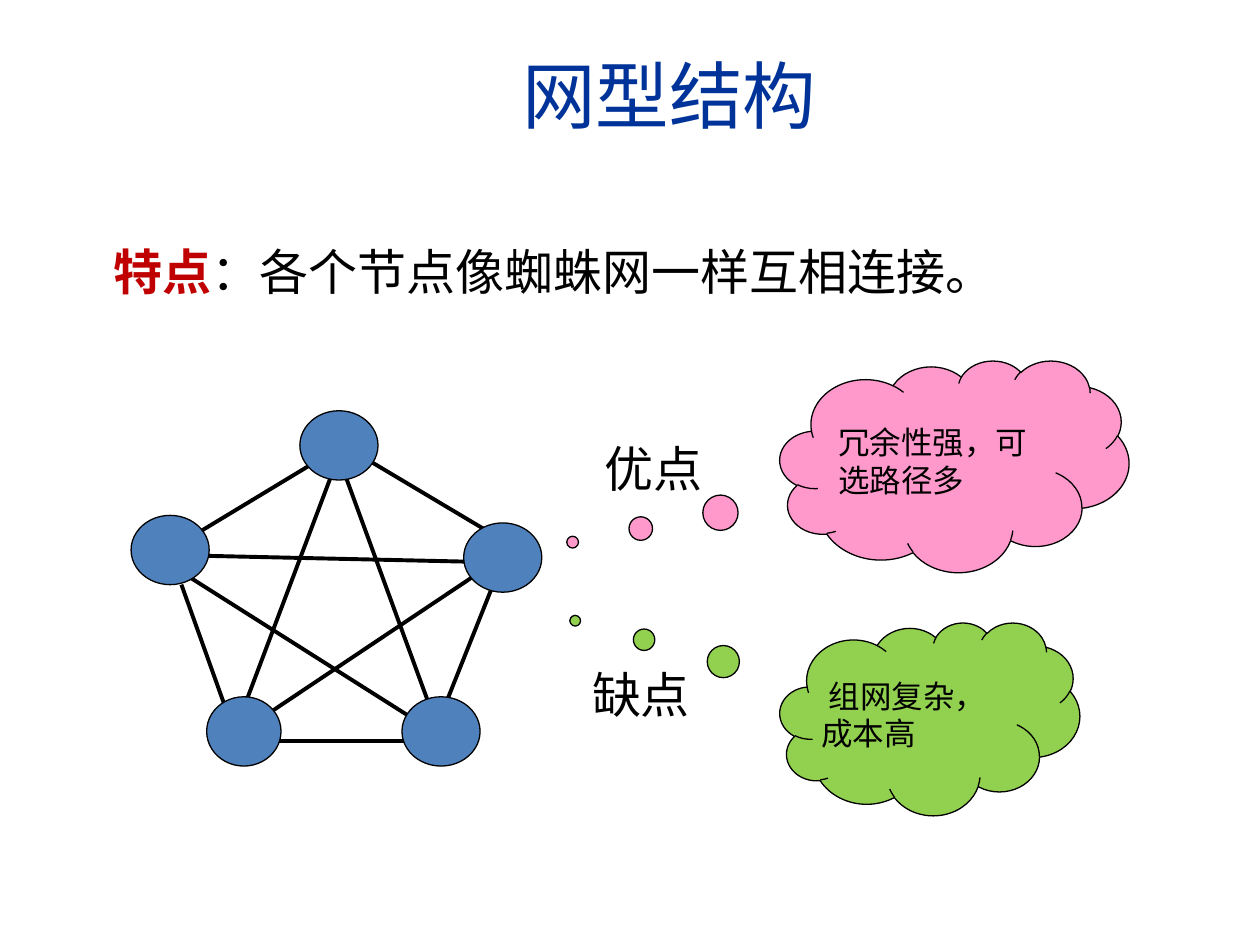
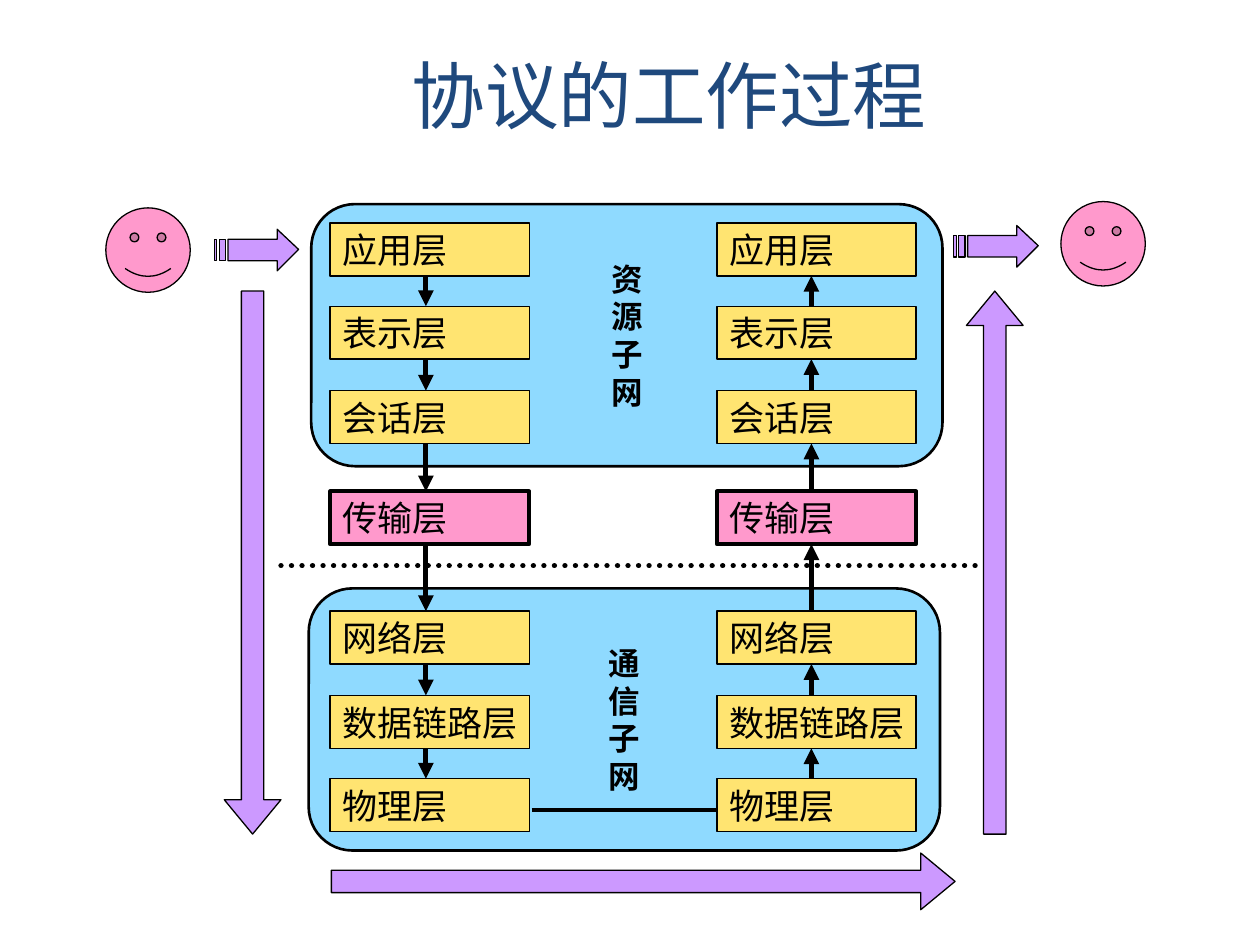
"""Build two slides: the mesh topology and how layered protocols work."""
from dataclasses import dataclass

from lxml import etree
from pptx import Presentation
from pptx import util as u
from pptx.dml.color import RGBColor
from pptx.enum import dml, shapes, text
from pptx.oxml.ns import qn


@dataclass(frozen=True)
class Theme:
    ink: str = "000000"
    white: str = "FFFFFF"
    royal: str = "003399"
    navy: str = "1F497D"
    red: str = "C00000"
    node: str = "4F81BD"
    pink: str = "FF99CC"
    green: str = "92D050"
    sky: str = "8FDAFF"
    gold: str = "FFE471"
    mauve: str = "CC99FF"
    latin: str = "Calibri"
    hans: str = "Noto Sans CJK SC"
    title: int = 42
    lead: int = 28
    layer: int = 20
    small: int = 18
    thin: float = 0.75
    edge: float = 1.5
    bold: float = 2.25
    thick: float = 3


look = Theme()
kinds = shapes.MSO_SHAPE
mid = text.MSO_ANCHOR.MIDDLE
left, center = text.PP_ALIGN.LEFT, text.PP_ALIGN.CENTER


def put(words="", *, page, box=None, kind=None, form=None, fill=None, line=look.ink,
        width=look.thin, adjust=(), turn=0, size=look.small, font=look.hans,
        color=look.ink, bold=False, align=left, anchor=mid, wrap=True,
        inset=(0.1, 0.05, 0.1, 0.05), margin=0, indent=0, lead=""):
    if form is None:
        spot = [u.Inches(n) for n in box]
        form = page.shapes.add_shape(kind, *spot) if kind else page.shapes.add_textbox(*spot)
    if fill:
        form.fill.solid()
        form.fill.fore_color.rgb = RGBColor.from_string(fill)
    else:
        form.fill.background()
    if line:
        form.line.color.rgb = RGBColor.from_string(line)
        form.line.width = u.Pt(width)
    form.shadow.inherit = False
    form.rotation = turn
    for spot, value in enumerate(adjust):
        form.adjustments[spot] = value
    if not words:
        return
    frame = form.text_frame
    frame.word_wrap, frame.vertical_anchor = wrap, anchor
    (frame.margin_left, frame.margin_top,
     frame.margin_right, frame.margin_bottom) = [u.Inches(n) for n in inset]
    for row, part in enumerate(words.split("\n")):
        para = frame.add_paragraph() if row else frame.paragraphs[0]
        para.alignment = align
        props = para._p.get_or_add_pPr()
        props.set("marL", str(u.Inches(margin)))
        props.set("indent", str(u.Inches(indent)))
        for piece, tint, heavy in ((lead, look.red, True), (part, color, bold)):
            if piece:
                run = para.add_run()
                run.text = piece
                run.font.size, run.font.bold, run.font.name = u.Pt(size), heavy, font
                run.font.color.rgb = RGBColor.from_string(tint)
                etree.SubElement(run._r.rPr, qn("a:ea"), typeface=look.hans)


def link(page, start, end, width, arrow=False, dots=False):
    wire = page.shapes.add_connector(shapes.MSO_CONNECTOR.STRAIGHT,
                                     *[u.Inches(n) for n in (*start, *end)])
    wire.line.color.rgb = RGBColor.from_string(look.ink)
    wire.line.width = u.Pt(width)
    stroke = wire.line._get_or_add_ln()
    if dots:
        wire.line.dash_style = dml.MSO_LINE.ROUND_DOT
        stroke.set("cap", "rnd")
    if arrow:
        etree.SubElement(stroke, qn("a:tailEnd"), type="triangle")
    etree.SubElement(wire._element.spPr, qn("a:effectLst"))


deck = Presentation()
deck.slide_width, deck.slide_height = u.Inches(10), u.Inches(7.5)
mesh, flow = [deck.slides.add_slide(deck.slide_layouts[6]) for _ in range(2)]
head = dict(box=(0.93, 0.25, 8.76, 1), line=None, size=look.title,
            font=look.latin, align=center)

put("网型结构", page=mesh, color=look.royal, **head)
put("：各个节点像蜘蛛网一样互相连接。", page=mesh, box=(0.45, 1.87, 8.81, 0.69),
    line=None, size=look.lead, font=look.latin, anchor=text.MSO_ANCHOR.TOP,
    margin=0.35, lead="特点")

for start, end in (
        ((2.62, 3.8), (1.93, 5.63)), ((1.57, 4.41), (3.81, 4.46)),
        ((1.44, 4.64), (1.83, 5.73)), ((2.75, 3.8), (3.42, 5.63)),
        ((2.53, 3.65), (1.57, 4.23)), ((1.44, 4.54), (3.32, 5.73)),
        ((2.92, 3.65), (3.91, 4.24)), ((2.03, 5.73), (3.81, 4.54)),
        ((3.93, 4.6), (3.52, 5.63)), ((2.06, 5.88), (3.37, 5.88))):
    link(mesh, start, end, look.bold)
for x, y, wide in ((1.04, 4.09, 0.62), (2.38, 3.26, 0.62), (3.68, 4.15, 0.62),
                   (1.64, 5.53, 0.59), (3.19, 5.53, 0.62)):
    put(page=mesh, box=(x, y, wide, 0.55), kind=kinds.OVAL, fill=look.node)

for label, box in (("优点", (4.7, 3.42, 0.99, 0.59)), ("缺点", (4.6, 5.29, 0.99, 0.44))):
    put(label, page=mesh, box=box, kind=kinds.RECTANGLE, line=look.white, size=look.lead)
for words, box, tint, tail, pad, indent in (
        ("冗余性强，可选路径多", (6.19, 2.86, 2.77, 1.68), look.pink, (-1.094, 0.359), 0.08, 0),
        ("组网复杂，成本高", (6.19, 4.94, 2.38, 1.53), look.green, (-1.183, -0.509), 0, 0.06)):
    put(words, page=mesh, box=box, kind=kinds.CLOUD_CALLOUT, fill=tint, adjust=tail,
        inset=(pad, 0, 0, 0), indent=indent)

for words, x, y in (("通\n信\n子\n网", 2.45, 4.67), ("资\n源\n子\n网", 2.47, 1.62)):
    put(words, page=flow, box=(x, y, 5.01, 2.08), kind=kinds.ROUNDED_RECTANGLE,
        fill=look.sky, width=look.edge, bold=True, align=center)
put("协议的工作过程", page=flow, color=look.navy, **head)
link(flow, (2.23, 4.49), (7.74, 4.49), look.thick, dots=True)

layers = (("应用层", 1.77), ("表示层", 2.43), ("会话层", 3.1), ("传输层", 3.9),
          ("网络层", 4.85), ("数据链路层", 5.52), ("物理层", 6.18))
tall = 0.42
for x, stem, down in ((2.62, 3.38, True), (5.69, 6.44, False)):
    for (_, upper), (_, lower) in zip(layers, layers[1:]):
        ends = [(stem, upper + tall), (stem, lower)]
        link(flow, *(ends if down else ends[::-1]), look.thick, arrow=True)
    for name, y in layers:
        hub = name == "传输层"
        put(name, page=flow, box=(x, y, 1.58, tall), kind=kinds.RECTANGLE,
            fill=look.pink if hub else look.gold,
            width=look.bold if hub else look.thin, size=look.layer, wrap=False)
link(flow, (4.22, 6.43), (5.7, 6.43), 2)

for x, y, long, turn in ((1.78, 2.31, 4.31, 0), (4.88, 4.52, 4.95, 270),
                         (7.67, 2.31, 4.31, 180)):
    put(page=flow, box=(x, y, 0.45, long), kind=kinds.DOWN_ARROW, fill=look.mauve,
        adjust=(0.395, 0.605), turn=turn)
for x, y in ((0.84, 1.65), (8.42, 1.6)):
    put(page=flow, box=(x, y, 0.67, 0.67), kind=kinds.SMILEY_FACE, fill=look.pink,
        adjust=(0.047,))
for x, y in ((1.7, 1.82), (7.57, 1.79)):
    pen = flow.shapes.build_freeform(50, 0, scale=u.Inches(0.01))
    pen.add_line_segments([(50, 8), (11, 8), (11, 25), (50, 25), (50, 33), (67, 16)])
    for near, far in ((4, 9), (0, 2)):
        pen.move_to(near, 8)
        pen.add_line_segments([(near, 25), (far, 25), (far, 8)])
    put(page=flow, form=pen.convert_to_shape(u.Inches(x), u.Inches(y)), fill=look.mauve)

deck.save("out.pptx")
